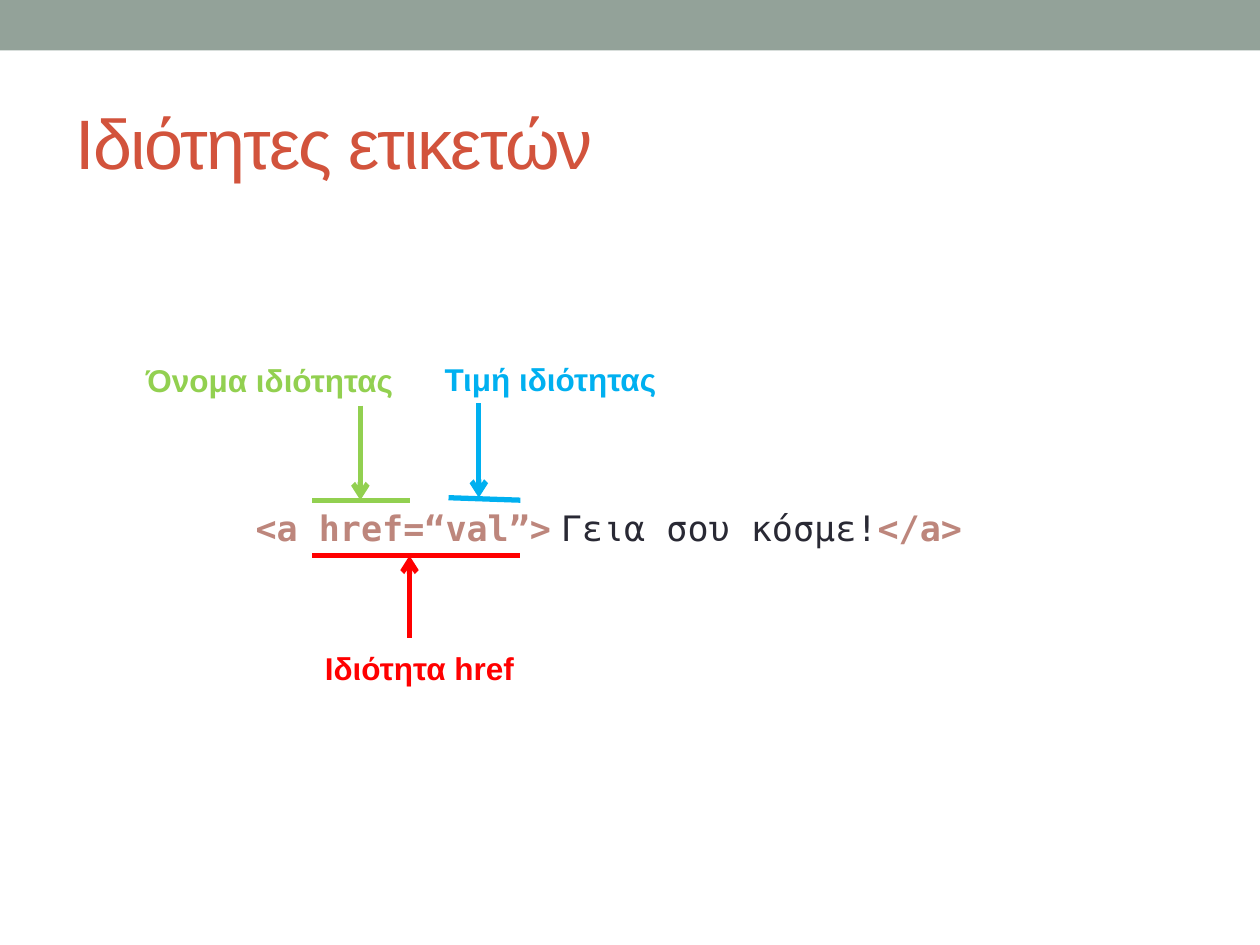
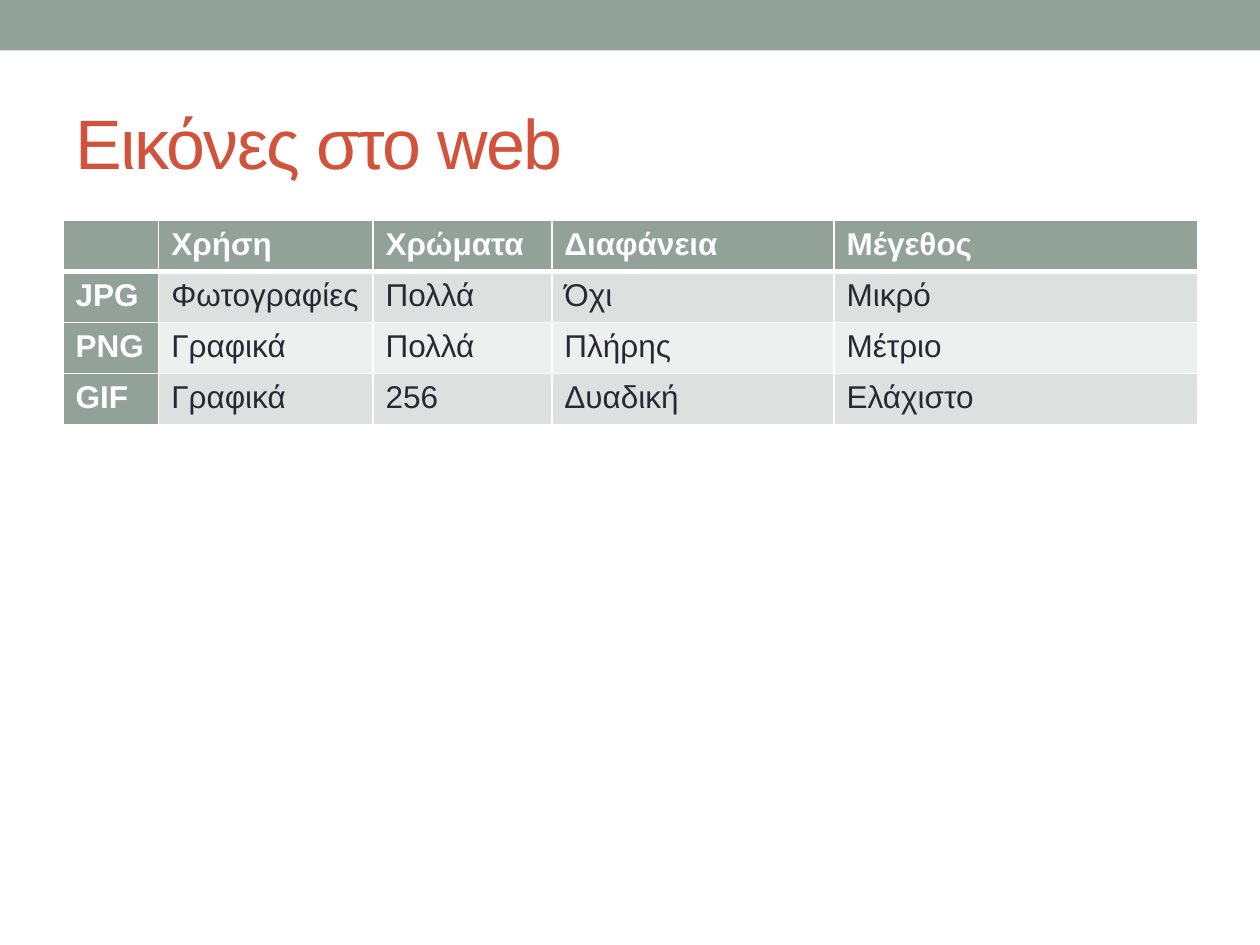
from lxml.etree import SubElement
from pptx import Presentation
from pptx.dml.color import RGBColor
from pptx.enum.shapes import MSO_CONNECTOR, MSO_SHAPE
from pptx.enum.text import MSO_ANCHOR, PP_ALIGN
from pptx.oxml.ns import qn
from pptx.util import Inches, Pt

SAGE = RGBColor(0x93, 0xA2, 0x99)
SAGE_MID = RGBColor(0xDC, 0xE0, 0xDE)
SAGE_PALE = RGBColor(0xEE, 0xF0, 0xEF)
BRICK = RGBColor(0xD2, 0x53, 0x3C)
INK = RGBColor(0x29, 0x29, 0x34)
TAG = RGBColor(0xBD, 0x86, 0x7C)
WHITE = RGBColor(0xFF, 0xFF, 0xFF)
RED = RGBColor(0xFF, 0x00, 0x00)
GREEN = RGBColor(0x92, 0xD0, 0x50)
BLUE = RGBColor(0x00, 0xB0, 0xF0)
SANS, MONO = "Arial", "DejaVu Sans Mono"


def style(span, size, color, bold=False, name=SANS):
    span.font.size = Pt(size)
    span.font.color.rgb = color
    span.font.bold = bold
    span.font.name = name


def add_line(page, start, end, color, arrow=False):
    ends = [Inches(value) for value in (*start, *end)]
    line = page.shapes.add_connector(MSO_CONNECTOR.STRAIGHT, *ends)
    line.line.color.rgb = color
    line.line.width = Pt(3)
    if arrow:
        SubElement(line.line._get_or_add_ln(), qn("a:tailEnd"), type="arrow")
    SubElement(line.element.spPr, qn("a:effectLst"))


deck = Presentation()
deck.slide_width, deck.slide_height = Inches(10), Inches(7.5)

# Shared title position, title style and top band
layout = deck.slide_layouts.get_by_name("Title Only")
title_area = layout.placeholders[0]
title_area.left, title_area.top = Inches(0.5), Inches(0.58)
title_area.width, title_area.height = Inches(9), Inches(1.08)

pages = []
for heading in ("Ιδιότητες ετικετών", "Εικόνες στο web"):
    page = deck.slides.add_slide(layout)
    title = page.shapes.title
    title.text_frame.text = heading
    title.text_frame.vertical_anchor = MSO_ANCHOR.MIDDLE
    para = title.text_frame.paragraphs[0]
    para.alignment = PP_ALIGN.LEFT
    span = para.runs[0]
    style(span, 40, BRICK)
    span.font._element.set("spc", "-100")
    pages.append(page)
attributes_page, images_page = pages

band = attributes_page.shapes.add_shape(MSO_SHAPE.RECTANGLE, 0, 0, deck.slide_width, Inches(0.4))
band.shadow.inherit = False
band.fill.solid()
band.fill.fore_color.rgb = SAGE
band.line.fill.background()
deck.slide_master.shapes.element.insert(2, band.element)  # the band belongs to the master

# Slide 1: anatomy of a tag attribute
code = attributes_page.shapes.add_textbox(Inches(1.93), Inches(3.97), Inches(6.29), Inches(1.11))
code.text_frame.word_wrap = True
para = code.text_frame.paragraphs[0]
for text, color, bold, name in (
    ("<a href=“val”>", TAG, True, MONO),
    (" ", TAG, True, SANS),
    ("Γεια σου κόσμε!", INK, False, MONO),
    ("</a>", TAG, True, MONO),
):
    span = para.add_run()
    span.text = text
    style(span, 20, color, bold, name)

# label, its left, top and width, colour, marker line ends, arrow ends
callouts = (
    ("Ιδιότητα href", (2.48, 5.1, 1.89), RED, ((2.48, 4.41), (4.13, 4.41)), ((3.25, 5.06), (3.25, 4.41))),
    ("Όνομα ιδιότητας", (1.06, 2.82, 2.36), GREEN, ((2.48, 3.97), (3.25, 3.97)), ((2.86, 3.22), (2.86, 3.97))),
    ("Τιμή ιδιότητας", (3.43, 2.81, 2.36), BLUE, ((3.56, 3.95), (4.13, 3.97)), ((3.8, 3.2), (3.8, 3.95))),
)
for text, (left, top, width), color, marker, arrow in callouts:
    add_line(attributes_page, *marker, color)
    add_line(attributes_page, *arrow, color, arrow=True)
    label = attributes_page.shapes.add_textbox(Inches(left), Inches(top), Inches(width), Inches(0.4))
    label.text_frame.word_wrap = True
    label.text_frame.text = text
    style(label.text_frame.paragraphs[0].runs[0], 18, color, bold=True)

# Slide 2: image formats
formats = (
    ("", "Χρήση", "Χρώματα", "Διαφάνεια", "Μέγεθος"),
    ("JPG", "Φωτογραφίες", "Πολλά", "Όχι", "Μικρό"),
    ("PNG", "Γραφικά", "Πολλά", "Πλήρης", "Μέτριο"),
    ("GIF", "Γραφικά", "256", "Δυαδική", "Ελάχιστο"),
)
column_widths = (0.76, 1.7, 1.42, 2.24, 2.89)
table = images_page.shapes.add_table(
    len(formats), len(column_widths), Inches(0.5), Inches(1.75), Inches(9), Inches(1.62)
).table
table.first_col = True
for column, width in zip(table.columns, column_widths):
    column.width = Inches(width)

for row_index, row in enumerate(formats):
    for column_index, text in enumerate(row):
        cell = table.cell(row_index, column_index)
        is_header = row_index == 0 or column_index == 0
        if text:
            cell.text_frame.text = text
            style(cell.text_frame.paragraphs[0].runs[0], 18, WHITE if is_header else INK, is_header)
        properties = cell._tc.get_or_add_tcPr()
        for side in "LRTB":
            under_header = (row_index, side) in ((0, "B"), (1, "T"))
            border = SubElement(properties, qn(f"a:ln{side}"), w=str(Pt(3 if under_header else 1)))
            border_fill = SubElement(border, qn("a:solidFill"))
            SubElement(border_fill, qn("a:srgbClr"), val=str(WHITE))
        cell.fill.solid()
        cell.fill.fore_color.rgb = SAGE if is_header else SAGE_MID if row_index % 2 else SAGE_PALE

deck.save("out.pptx")
